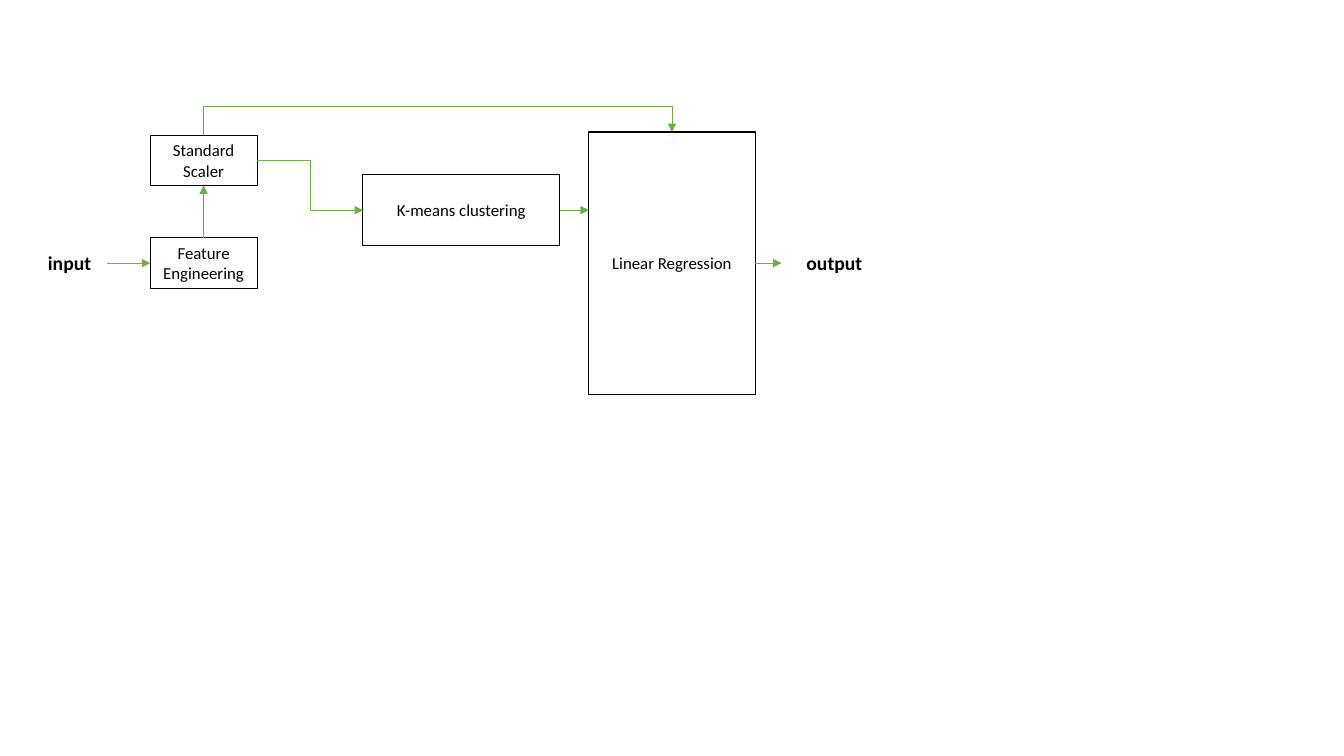
from dataclasses import dataclass

import pptx
import pptx.dml.color
import pptx.enum.shapes
import pptx.enum.text
import pptx.oxml
import pptx.oxml.ns
import pptx.util

Inches = pptx.util.Inches
Pt = pptx.util.Pt
Kind = pptx.enum.shapes.MSO_CONNECTOR
Point = tuple[float, float]

COLORS = {"ink": "000000", "flow": "70AD47"}
FONT = "Calibri"


def color(name: str) -> pptx.dml.color.RGBColor:
    return pptx.dml.color.RGBColor.from_string(COLORS[name])


@dataclass(frozen=True)
class Block:
    text: str
    left: float
    top: float
    width: float
    height: float

    @property
    def right(self) -> float:
        return self.left + self.width

    @property
    def bottom(self) -> float:
        return self.top + self.height

    @property
    def mid(self) -> Point:
        return self.left + self.width / 2, self.top + self.height / 2

    @property
    def area(self) -> list[int]:
        return [Inches(n) for n in (self.left, self.top, self.width, self.height)]


@dataclass(frozen=True)
class Arrow:
    start: Point
    end: Point
    kind: Kind = Kind.STRAIGHT


FEATURE = Block("Feature Engineering", 1.49, 2.36, 1.06, 0.5)
SCALER = Block("Standard Scaler", 1.49, 1.34, 1.06, 0.5)
CLUSTER = Block("K-means clustering", 3.6, 1.73, 1.95, 0.71)
LINEAR = Block("Linear Regression", 5.84, 1.31, 1.65, 2.6)
INPUT = Block("input", 0.32, 2.44, 0.74, 0.34)
OUTPUT = Block("output", 7.75, 2.44, 1.05, 0.34)

BOXES = [FEATURE, CLUSTER, LINEAR, SCALER]
LABELS = [INPUT, OUTPUT]
ARROWS = [
    Arrow((CLUSTER.right, CLUSTER.mid[1]), (LINEAR.left, CLUSTER.mid[1])),
    Arrow((INPUT.right, INPUT.mid[1]), (FEATURE.left, INPUT.mid[1])),
    Arrow((LINEAR.right, OUTPUT.mid[1]), (OUTPUT.left, OUTPUT.mid[1])),
    Arrow((FEATURE.mid[0], FEATURE.top), (SCALER.mid[0], SCALER.bottom)),
    Arrow((SCALER.right, SCALER.mid[1]), (CLUSTER.left, CLUSTER.mid[1]), Kind.ELBOW),
]
BYPASS = 1.06


def write(frame: pptx.text.text.TextFrame, text: str, size: int, bold: bool) -> None:
    frame.word_wrap = True
    frame.text = text
    para = frame.paragraphs[0]
    para.alignment = pptx.enum.text.PP_ALIGN.CENTER
    font = para.runs[0].font
    font.name, font.size, font.bold = FONT, Pt(size), bold
    font.color.rgb = color("ink")


def add_box(slide: pptx.slide.Slide, block: Block) -> None:
    shape = slide.shapes.add_shape(
        pptx.enum.shapes.MSO_SHAPE.RECTANGLE, *block.area)
    shape.shadow.inherit = False
    shape.fill.background()
    shape.line.color.rgb = color("ink")
    shape.line.width = Pt(0.75)
    shape.text_frame.vertical_anchor = pptx.enum.text.MSO_ANCHOR.MIDDLE
    write(shape.text_frame, block.text, 12, False)


def add_label(slide: pptx.slide.Slide, block: Block) -> None:
    box = slide.shapes.add_textbox(*block.area)
    write(box.text_frame, block.text, 14, True)


def add_arrow(slide: pptx.slide.Slide, arrow: Arrow) -> pptx.shapes.connector.Connector:
    ends = [Inches(n) for n in arrow.start + arrow.end]
    link = slide.shapes.add_connector(arrow.kind, *ends)
    link.line.color.rgb = color("flow")
    link.line.width = Pt(0.5)
    tail = pptx.oxml.parse_xml(
        f'<a:tailEnd {pptx.oxml.ns.nsdecls("a")} type="triangle"/>')
    link.line._get_or_add_ln().append(tail)
    link._element.spPr.append(
        pptx.oxml.parse_xml(f'<a:effectLst {pptx.oxml.ns.nsdecls("a")}/>'))
    return link


def add_bypass(slide: pptx.slide.Slide, start: Point, end: Point, peak: float) -> None:
    """Draw an elbow that rises to peak, runs right and drops to end."""
    rise, run = start[1] - end[1], end[0] - start[0]
    x, y = (start[0] + end[0]) / 2, (start[1] + end[1]) / 2
    # A quarter turn swaps the sides of the frame about its centre.
    link = add_arrow(slide, Arrow(
        (x + rise / 2, y + run / 2), (x - rise / 2, y - run / 2), Kind.ELBOW))
    props = link._element.spPr
    props.find(pptx.oxml.ns.qn("a:xfrm")).set("rot", str(90 * 60000))
    bend = round((start[1] - peak) / rise * 100000)
    props.find(".//" + pptx.oxml.ns.qn("a:avLst")).append(pptx.oxml.parse_xml(
        f'<a:gd {pptx.oxml.ns.nsdecls("a")} name="adj1" fmla="val {bend}"/>'))


def main() -> None:
    deck = pptx.Presentation()
    deck.slide_width, deck.slide_height = Inches(13.33), Inches(7.5)
    slide = deck.slides.add_slide(deck.slide_layouts[6])
    for block in BOXES:
        add_box(slide, block)
    for block in LABELS:
        add_label(slide, block)
    for arrow in ARROWS:
        add_arrow(slide, arrow)
    add_bypass(slide, (SCALER.mid[0], SCALER.top), (LINEAR.mid[0], LINEAR.top), BYPASS)
    deck.save("out.pptx")


if __name__ == "__main__":
    main()
